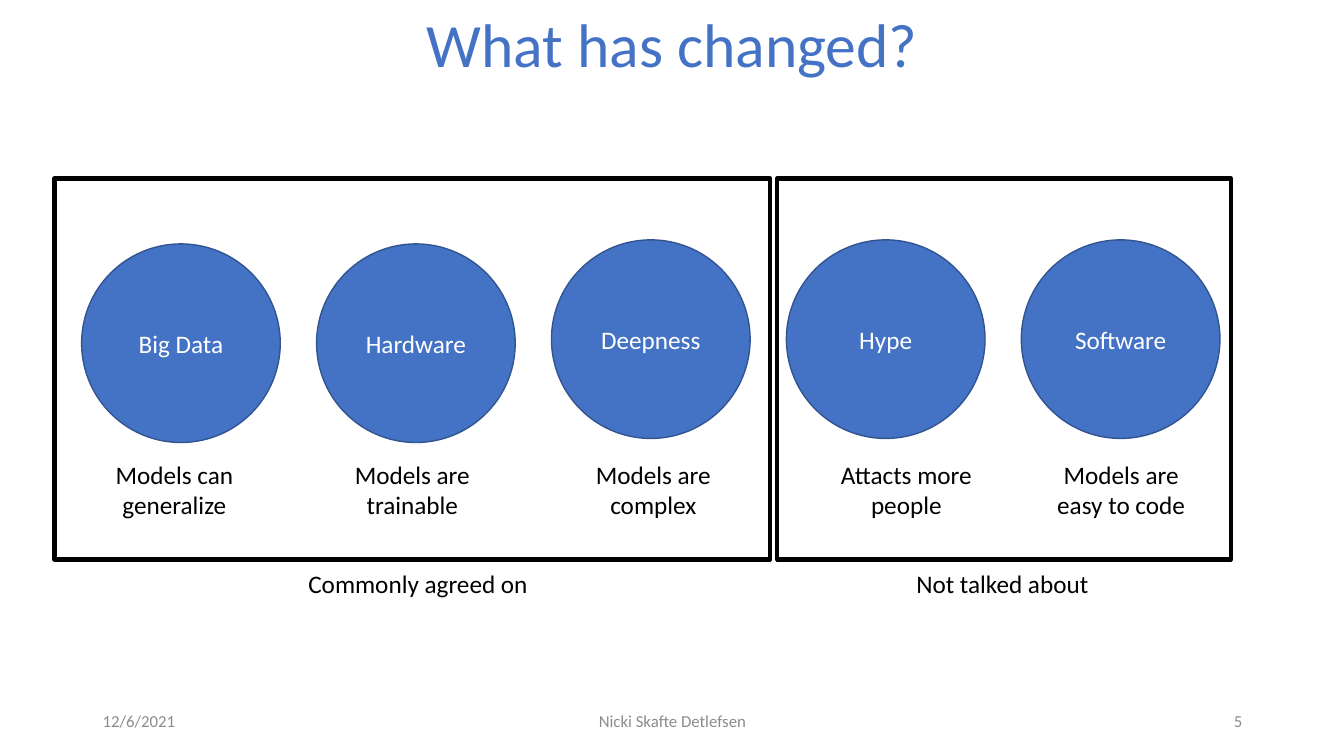
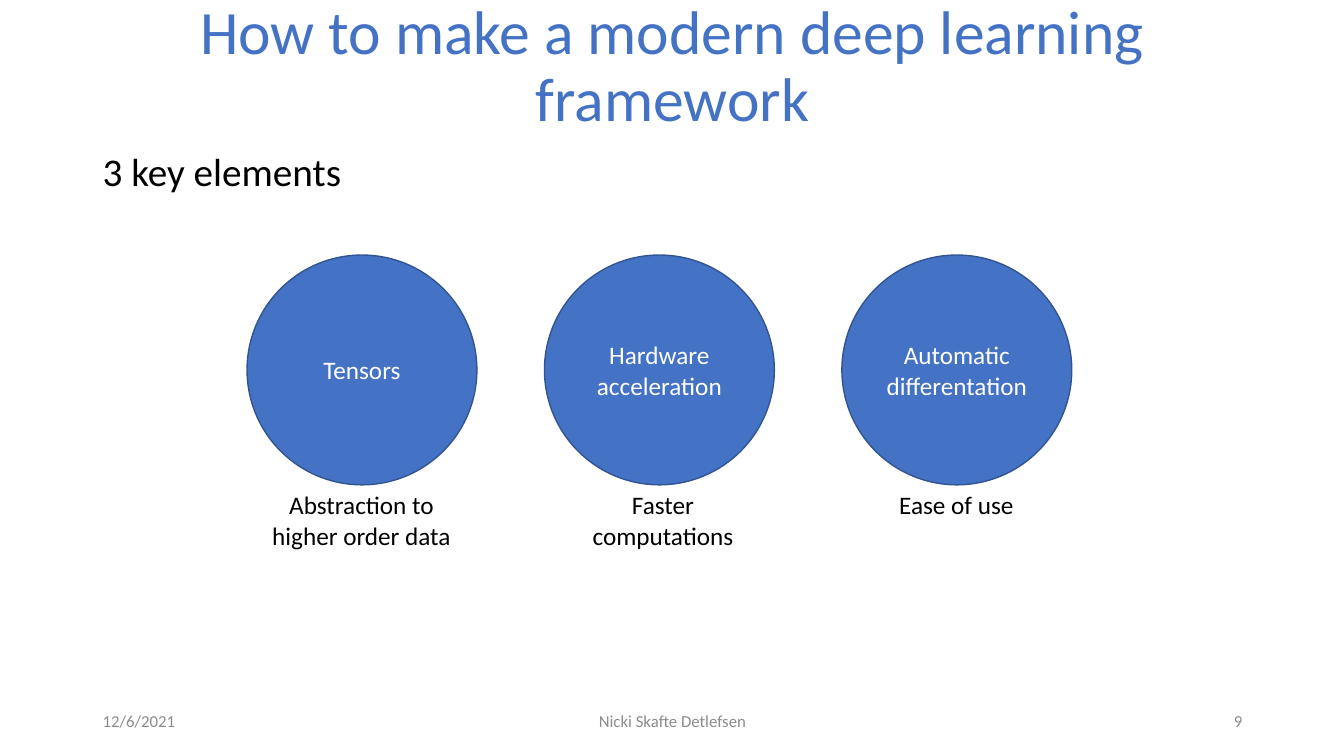
import dataclasses

import pptx
import pptx.dml.color
import pptx.enum.shapes
import pptx.enum.text
import pptx.util

PX = 9144  # EMU; 100 px to the inch
SHAPE = pptx.enum.shapes.MSO_SHAPE
ALIGN = pptx.enum.text.PP_ALIGN
ANCHOR = pptx.enum.text.MSO_ANCHOR


@dataclasses.dataclass(frozen=True)
class Theme:
    font: str = "Calibri"
    accent: str = "4472C4"
    accent_line: str = "325491"
    text: str = "000000"
    on_accent: str = "FFFFFF"
    muted: str = "8C8C8C"
    title_pt: int = 44
    lead_pt: int = 28
    body_pt: int = 18
    footer_pt: int = 12


THEME = Theme()
SLIDE_W, SLIDE_H = 1333, 750
MARGIN, CONTENT_W = 92, 1150
DATE, AUTHOR = "12/6/2021", "Nicki Skafte Detlefsen"


def emu(*lengths):
    return [px * PX for px in lengths]


def rgb(color):
    return pptx.dml.color.RGBColor.from_string(color)


def write(sp, text, size, color, align=ALIGN.CENTER, anchor=ANCHOR.TOP, spacing=1.0):
    tf = sp.text_frame
    frame_format = {
        "word_wrap": True,
        "auto_size": pptx.enum.text.MSO_AUTO_SIZE.NONE,
        "vertical_anchor": anchor,
    }
    for name, value in frame_format.items():
        setattr(tf, name, value)
    p = tf.paragraphs[0]
    p.alignment, p.line_spacing = align, spacing
    r = p.add_run()
    r.text = text
    for name, value in {"name": THEME.font, "size": pptx.util.Pt(size)}.items():
        setattr(r.font, name, value)
    r.font.color.rgb = rgb(color)


def add_text(s, box, text, size=THEME.body_pt, color=THEME.text, **text_format):
    write(s.shapes.add_textbox(*emu(*box)), text, size, color, **text_format)


def add_outlined(s, kind, box, line, width, fill=None):
    sp = s.shapes.add_shape(kind, *emu(*box))
    sp.shadow.inherit = False
    if fill:
        sp.fill.solid()
        sp.fill.fore_color.rgb = rgb(fill)
    else:
        sp.fill.background()
    sp.line.color.rgb = rgb(line)
    sp.line.width = pptx.util.Pt(width)
    return sp


def add_title(s, text, top):
    sp = s.shapes.title
    box = emu(MARGIN, top, CONTENT_W, 145)
    for name, value in zip(("left", "top", "width", "height"), box):
        setattr(sp, name, value)
    write(sp, text, THEME.title_pt, THEME.accent, anchor=ANCHOR.MIDDLE, spacing=0.9)


def add_footer(s, number):
    parts = [
        (MARGIN, 300, DATE, ALIGN.LEFT),
        (442, 450, AUTHOR, ALIGN.CENTER),
        (942, 300, str(number), ALIGN.RIGHT),
    ]
    for left, width, text, align in parts:
        add_text(s, (left, 695, width, 40), text, THEME.footer_pt, THEME.muted,
                 align=align, anchor=ANCHOR.MIDDLE)


def add_circle_row(s, box, pitch, caption_top, caption_w, items):
    """Fill box with circles of its height; items are label, caption,
    downward shift of the circle and sideways shift of the caption."""
    left, top, _, size = box
    for i, (label, caption, drop, shift) in enumerate(items):
        x = left + i * pitch
        sp = add_outlined(s, SHAPE.OVAL, (x, top + drop, size, size),
                          THEME.accent_line, 1, THEME.accent)
        write(sp, label, THEME.body_pt, THEME.on_accent, anchor=ANCHOR.MIDDLE)
        caption_left = x + (size - caption_w) // 2 + shift
        add_text(s, (caption_left, top + caption_top, caption_w, 71), caption)


def add_frame(s, box, label, label_indent):
    left, top, _, height = box
    add_outlined(s, SHAPE.RECTANGLE, box, THEME.text, 3)
    add_text(s, (left + label_indent, top + height + 4, 350, 40), label,
             align=ALIGN.LEFT)


def add_slide(prs, title, title_top, number):
    s = prs.slides.add_slide(prs.slide_layouts.get_by_name("Title Only"))
    add_title(s, title, title_top)
    add_footer(s, number)
    return s


def build_changes(prs):
    s = add_slide(prs, "What has changed?", -25, 5)
    add_circle_row(s, (81, 238, 1129, 197), 233, 213, 156, [
        ("Big Data", "Models can generalize", 4, -6),
        ("Hardware", "Models are trainable", 4, -3),
        ("Deepness", "Models are complex", 0, 3),
        ("Hype", "Attacts more people", 0, 21),
        ("Software", "Models are easy to code", 0, 1),
    ])
    add_frame(s, (54, 177, 710, 378), "Commonly agreed on", 242)
    add_frame(s, (771, 177, 450, 378), "Not talked about", 128)


def build_framework(prs):
    s = add_slide(prs, "How to make a modern deep learning framework", -5, 9)
    add_text(s, (MARGIN, 147, CONTENT_W, 60), "3 key elements", THEME.lead_pt,
             align=ALIGN.LEFT, spacing=0.9)
    add_circle_row(s, (245, 253, 818, 228), 295, 228, 205, [
        ("Tensors", "Abstraction to higher order data", 0, 0),
        ("Hardware acceleration", "Faster computations", 0, 4),
        ("Automatic differentation", "Ease of use", 0, 0),
    ])


def main():
    prs = pptx.Presentation()
    prs.slide_width, prs.slide_height = emu(SLIDE_W, SLIDE_H)
    build_changes(prs)
    build_framework(prs)
    prs.save("out.pptx")


if __name__ == "__main__":
    main()
